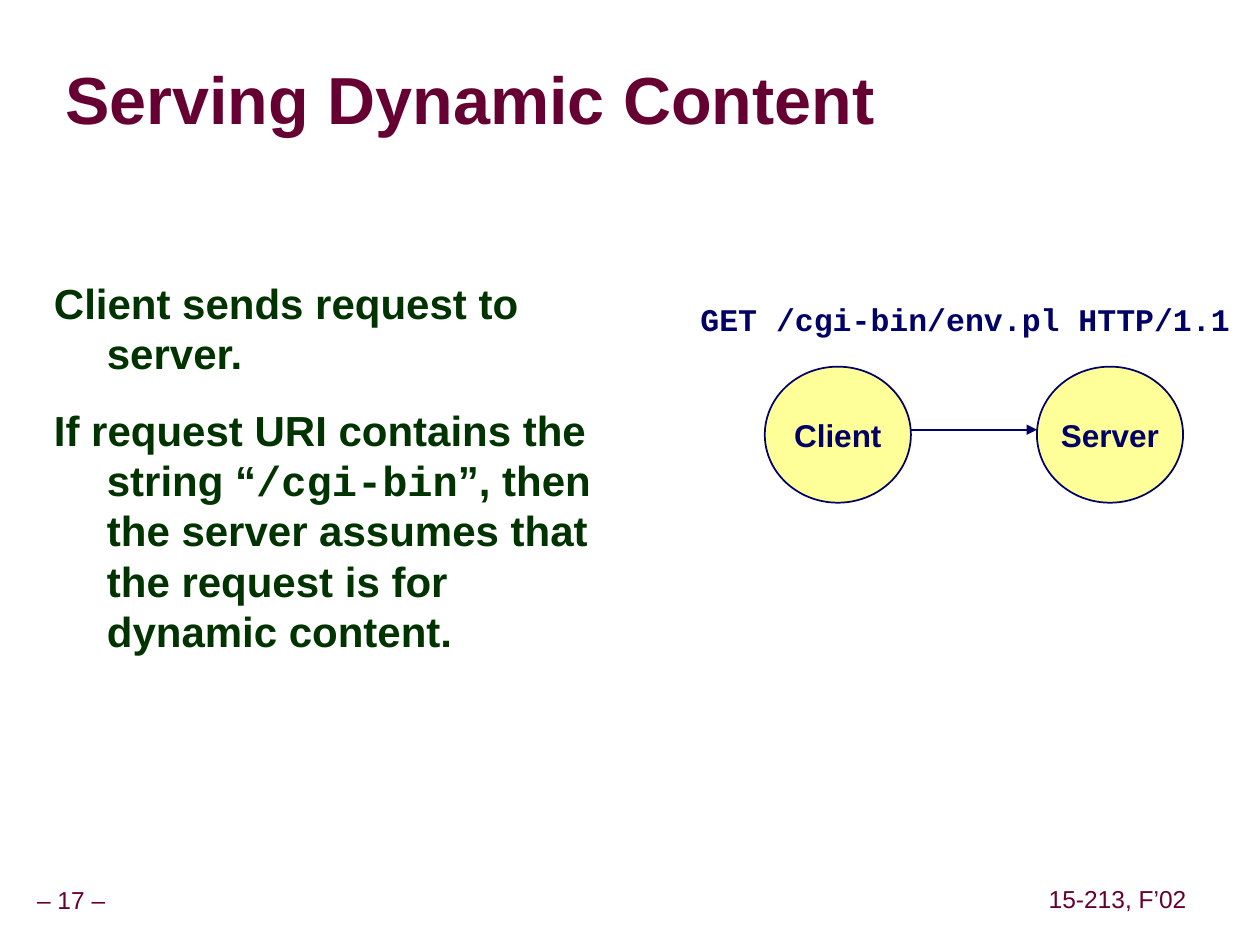
import pptx
import pptx.util
import pptx.dml.color
import pptx.enum.shapes
import pptx.enum.text
import pptx.oxml
import pptx.oxml.ns

Inches, Pt = pptx.util.Inches, pptx.util.Pt
RGB = pptx.dml.color.RGBColor.from_string
ALIGN = pptx.enum.text.PP_ALIGN
MIDDLE = pptx.enum.text.MSO_ANCHOR.MIDDLE
SHAPE = pptx.enum.shapes.MSO_SHAPE
NS = pptx.oxml.ns.nsdecls("a")
COLORS = {"maroon": "660033", "navy": "000066", "green": "003300",
          "yellow": "FFFF99", "shadow": "969696"}

prs = pptx.Presentation()
prs.slide_width, prs.slide_height = Inches(10), Inches(7.5)
s = prs.slides.add_slide(prs.slide_layouts[6])


def add_box(x, y, w, h, wrap=False):
    sp = s.shapes.add_textbox(Inches(x), Inches(y), Inches(w), Inches(h))
    sp.text_frame.word_wrap = wrap
    return sp.text_frame


def add_run(p, text, size, color, bold=True, font="Arial"):
    r = p.add_run()
    r.text = text
    r.font.name, r.font.size, r.font.bold = font, Pt(size), bold
    r.font.color.rgb = RGB(COLORS[color])
    return r


# Footer: page number and course
for text, x, y, w in [("– 17 –", -0.09, 7, 1.31), ("15-213, F’02", 8.27, 6.99, 1.2)]:
    tf = add_box(x, y, w, 0.31)
    tf.vertical_anchor = MIDDLE
    tf.margin_left = tf.margin_right = Inches(0.05)
    p = tf.paragraphs[0]
    p.alignment, p.line_spacing = ALIGN.CENTER, 0.9
    add_run(p, text, 14, "maroon", bold=False)

# Title with a text shadow
tf = add_box(0.42, 0.46, 6.67, 0.63, wrap=True)
tf.vertical_anchor = MIDDLE
r = add_run(tf.paragraphs[0], "Serving Dynamic Content", 38, "maroon")
shadow = pptx.oxml.parse_xml(
    f'<a:effectLst {NS}><a:outerShdw dist="50800" dir="2700000">'
    f'<a:srgbClr val="{COLORS["shadow"]}"/></a:outerShdw></a:effectLst>')
r.font.fill._xPr.find(pptx.oxml.ns.qn("a:solidFill")).addnext(shadow)

# Body text with hanging indents
body = [
    [("Client sends request to server.", "Arial")],
    [("If request URI contains the string “", "Arial"),
     ("/cgi-bin", "Courier New"),
     ("”, then the server assumes that the request is for dynamic content.", "Arial")],
]
tf = add_box(0.33, 2.15, 4.69, 4.87, wrap=True)
for i, runs in enumerate(body):
    p = tf.add_paragraph() if i else tf.paragraphs[0]
    p.line_spacing, p.space_before = 1.0, Pt(15)
    pPr = p._p.get_or_add_pPr()
    pPr.set("marL", str(Inches(0.42)))
    pPr.set("indent", str(-Inches(0.42)))
    for text, font in runs:
        add_run(p, text, 24, "green", font=font)

# Client and server nodes
for text, x in [("Client", 6.07), ("Server", 8.23)]:
    sp = s.shapes.add_shape(SHAPE.OVAL, Inches(x), Inches(2.91), Inches(1.16), Inches(1.08))
    sp.shadow.inherit = False
    sp.fill.solid()
    sp.fill.fore_color.rgb = RGB(COLORS["yellow"])
    sp.line.color.rgb = RGB(COLORS["navy"])
    sp.line.width = Pt(1)
    tf = sp.text_frame
    tf.word_wrap, tf.vertical_anchor = False, MIDDLE
    tf.paragraphs[0].alignment = ALIGN.CENTER
    add_run(tf.paragraphs[0], text, 18, "navy")

# Request arrow
line = s.shapes.add_connector(pptx.enum.shapes.MSO_CONNECTOR.STRAIGHT,
                              Inches(7.23), Inches(3.41), Inches(8.23), Inches(3.41))
line.line.color.rgb = RGB(COLORS["navy"])
line.line.width = Pt(1)
line.line._get_or_add_ln().append(pptx.oxml.parse_xml(f'<a:tailEnd {NS} type="triangle"/>'))
line._element.spPr.append(pptx.oxml.parse_xml(f"<a:effectLst {NS}/>"))

# Request label
tf = add_box(5.46, 2.33, 4.4, 0.4)
tf.vertical_anchor = MIDDLE
tf.paragraphs[0].alignment = ALIGN.CENTER
add_run(tf.paragraphs[0], "GET /cgi-bin/env.pl HTTP/1.1", 18, "navy", font="Courier New")

prs.save("out.pptx")
